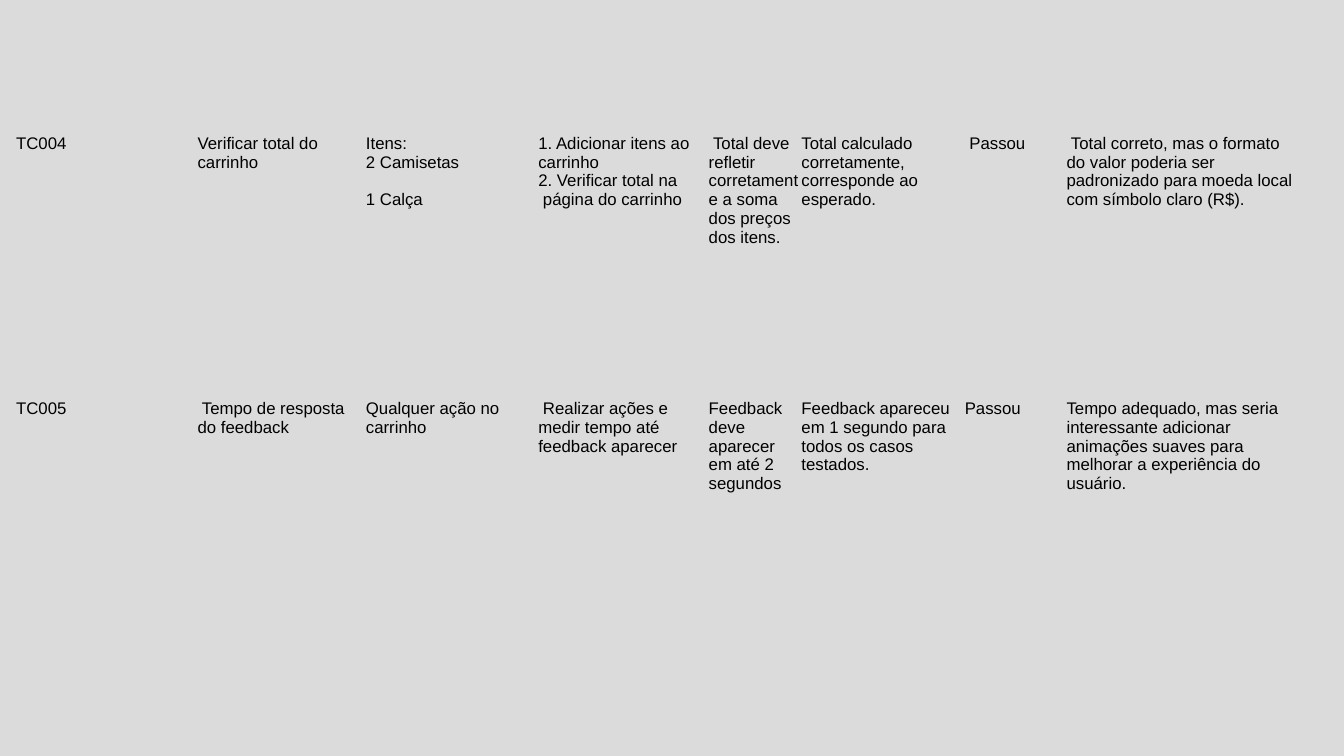
from dataclasses import dataclass

from lxml import etree
from pptx import Presentation
from pptx.dml.color import RGBColor
from pptx.enum.text import MSO_ANCHOR, PP_ALIGN
from pptx.oxml.ns import qn
from pptx.util import Inches, Pt

LEFT = PP_ALIGN.LEFT
TOP = MSO_ANCHOR.TOP
BLANK_LAYOUT = 6
PLAIN_TABLE_STYLE = "{2D5ABB26-0587-4C30-8999-92F81FD0307C}"


@dataclass(frozen=True)
class Theme:
    background: RGBColor = RGBColor(0xDB, 0xDB, 0xDB)
    text: RGBColor = RGBColor(0, 0, 0)
    font: str = "Arial"
    size: float = 12
    line_gap: float = 13.4


THEME = Theme()
SLIDE_SIZE = (13.33, 7.5)
TABLE_LEFT, TABLE_TOP = 0.16, 1.33
COLUMN_WIDTHS = [1.8, 1.67, 1.71, 1.69, 0.92, 1.62, 1.01, 2.33]
ROW_HEIGHTS = [2.63, 2.57]

# Each paragraph is a text, or a text with its format
TEST_CASES = [
    [
        ["TC004"],
        ["Verificar total do carrinho"],
        ["Itens:", "2 Camisetas", ("1 Calça", {"space_before": THEME.line_gap})],
        [
            (" Adicionar itens ao carrinho", {"numbered": True}),
            (" Verificar total na", {"numbered": True}),
            " página do carrinho",
        ],
        [" Total deve refletir corretamente a soma dos preços dos itens."],
        ["Total calculado corretamente, corresponde ao esperado."],
        [" Passou"],
        [" Total correto, mas o formato do valor poderia ser padronizado "
         "para moeda local com símbolo claro (R$)."],
    ],
    [
        ["TC005"],
        [" Tempo de resposta do feedback"],
        ["Qualquer ação no carrinho"],
        [" Realizar ações e medir tempo até feedback aparecer"],
        ["Feedback deve aparecer em até 2 segundos"],
        ["Feedback apareceu em 1 segundo para todos os casos testados."],
        ["Passou"],
        ["Tempo adequado, mas seria interessante adicionar animações suaves "
         "para melhorar a experiência do usuário."],
    ],
]


def write_text(paragraph, text, *, numbered=False, space_before=0):
    paragraph.alignment = LEFT
    paragraph.space_before = Pt(space_before)
    run = paragraph.add_run()
    run.text = text
    run.font.name = THEME.font
    run.font.size = Pt(THEME.size)
    run.font.color.rgb = THEME.text
    if numbered:
        properties = paragraph._p.get_or_add_pPr()
        properties.set("marL", "0")
        properties.set("indent", "0")
        etree.SubElement(properties, qn("a:buAutoNum"), type="arabicPeriod")


def fill_cell(cell, paragraphs):
    cell.fill.background()
    cell.margin_left = cell.margin_right = 0
    cell.margin_top = cell.margin_bottom = 0
    cell.vertical_anchor = TOP
    frame = cell.text_frame
    for index, content in enumerate(paragraphs):
        text, text_format = (content, {}) if isinstance(content, str) else content
        paragraph = frame.add_paragraph() if index else frame.paragraphs[0]
        write_text(paragraph, text, **text_format)


def add_test_table(slide, test_cases):
    shape = slide.shapes.add_table(
        len(ROW_HEIGHTS), len(COLUMN_WIDTHS),
        Inches(TABLE_LEFT), Inches(TABLE_TOP),
        Inches(sum(COLUMN_WIDTHS)), Inches(sum(ROW_HEIGHTS)),
    )
    table = shape.table
    table.first_row = table.horz_banding = False
    # Plain style: no borders
    table._tbl.tblPr.find(qn("a:tableStyleId")).text = PLAIN_TABLE_STYLE
    for column, width in zip(table.columns, COLUMN_WIDTHS):
        column.width = Inches(width)
    for row, height, test_case in zip(table.rows, ROW_HEIGHTS, test_cases):
        row.height = Inches(height)
        for cell, paragraphs in zip(row.cells, test_case):
            fill_cell(cell, paragraphs)


def main():
    presentation = Presentation()
    presentation.slide_width, presentation.slide_height = map(Inches, SLIDE_SIZE)
    slide = presentation.slides.add_slide(presentation.slide_layouts[BLANK_LAYOUT])

    # Background
    background = slide.background.fill
    background.solid()
    background.fore_color.rgb = THEME.background

    # Test cases
    add_test_table(slide, TEST_CASES)
    presentation.save("out.pptx")


if __name__ == "__main__":
    main()
